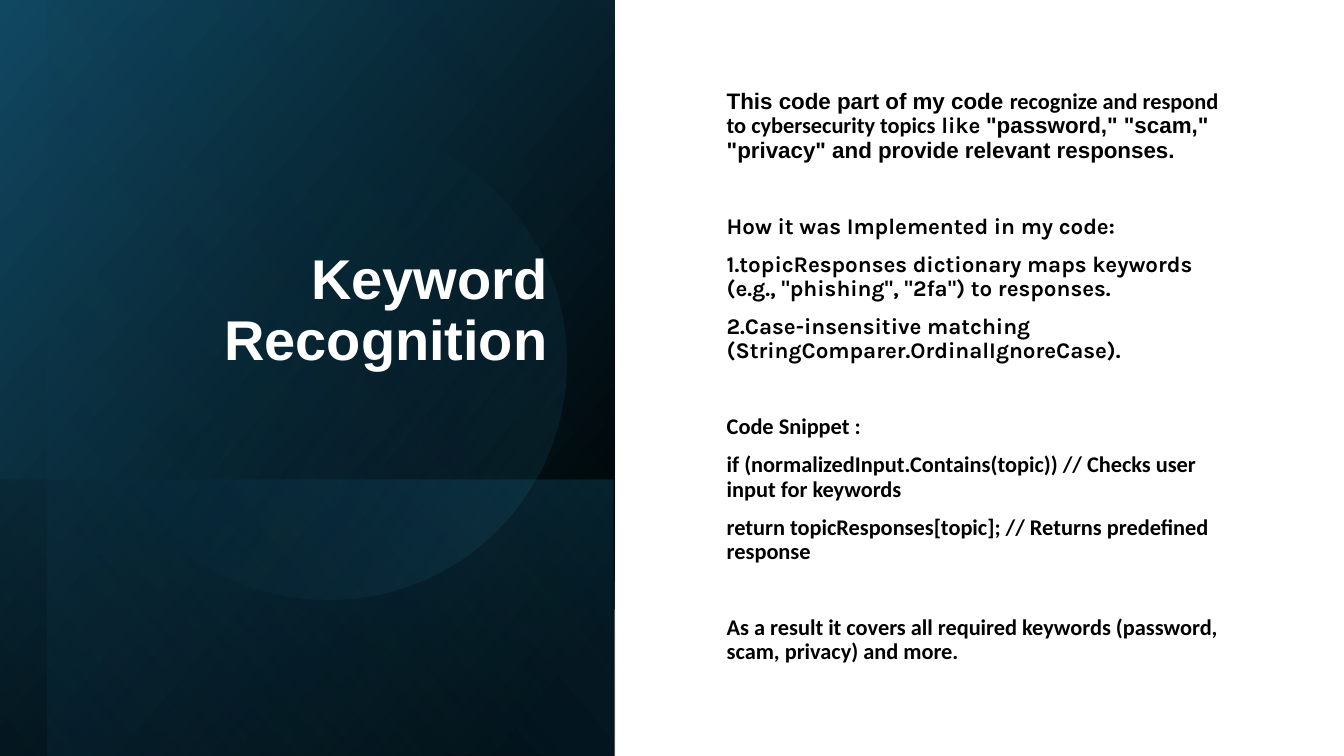
import dataclasses

import lxml.etree
import pptx
import pptx.dml.color
import pptx.enum.shapes
import pptx.enum.text
import pptx.oxml.ns
import pptx.util

Cm = pptx.util.Cm
Pt = pptx.util.Pt
Kind = pptx.enum.shapes.MSO_SHAPE
Align = pptx.enum.text.PP_ALIGN
Anchor = pptx.enum.text.MSO_ANCHOR
qn = pptx.oxml.ns.qn


@dataclasses.dataclass
class Stop:
    place: float
    color: str
    alpha: int = 100


@dataclasses.dataclass
class Panel:
    kind: Kind
    box: tuple[float, float, float, float]
    turn: float
    angle: int
    stops: tuple[Stop, Stop]
    flip: bool = True


@dataclasses.dataclass
class Para:
    runs: list[tuple[str, str]]
    before: int = 10


PANELS = [
    Panel(Kind.RECTANGLE, (-1.78, 1.78, 19.05, 15.49), 90, 50,
          (Stop(0.08, "000000"), Stop(1, "104862"))),
    Panel(Kind.RECTANGLE, (4.24, 7.82, 6.96, 15.49), 90, 130,
          (Stop(0.02, "156082", 29), Stop(1, "000000", 30))),
    Panel(Kind.RECTANGLE, (-1.17, 2.36, 19.05, 14.3), 90, 130,
          (Stop(0, "000000", 0), Stop(0.99, "156082", 11))),
    Panel(Kind.OVAL, (2.29, 3.12, 11.99, 11.99), 101.6, 290,
          (Stop(0.39, "156082", 0), Stop(1, "46B1E1", 15)), False),
]

GAP = 37
PARAS = [
    Para([("This code part of my code ", "Arial"),
          ("recognize and respond to cybersecurity topics", "Calibri"),
          (" like ", "Karla"),
          ('"password," "scam," "privacy" and provide relevant responses.', "Arial")]),
    Para([("How it was Implemented in my code:", "Karla")], GAP),
    Para([('1.topicResponses dictionary maps keywords (e.g., "phishing", "2fa") to responses.',
           "Karla")]),
    Para([("2.Case-insensitive matching (StringComparer.OrdinalIgnoreCase).", "Karla")]),
    Para([("Code Snippet :", "Calibri")], GAP),
    Para([("if (normalizedInput.Contains(topic)) // Checks user input for keywords", "Calibri")]),
    Para([("return topicResponses[topic]; // Returns predefined response", "Calibri")]),
    Para([("As a result it covers all required keywords (password, scam, privacy) and more.",
           "Calibri")], GAP),
]


def paint(target, color: str) -> None:
    target.rgb = pptx.dml.color.RGBColor.from_string(color)


def place(shape, box: tuple[float, float, float, float]) -> None:
    shape.left, shape.top, shape.width, shape.height = map(Cm, box)


def style(para, size: int, color: str) -> None:
    para.line_spacing = 0.9
    para.font.size = Pt(size)
    para.font.bold = True
    paint(para.font.color, color)


def frame(shape, anchor: Anchor):
    text = shape.text_frame
    text.word_wrap = True
    text.auto_size = pptx.enum.text.MSO_AUTO_SIZE.NONE
    text.vertical_anchor = anchor
    return text


def draw(slide, panel: Panel) -> None:
    shape = slide.shapes.add_shape(panel.kind, *map(Cm, panel.box))
    shape.rotation = panel.turn
    shape.shadow.inherit = False
    shape.line.fill.background()
    if panel.flip:
        shape._element.spPr.find(qn("a:xfrm")).set("flipH", "1")
    shape.fill.gradient()
    shape.fill.gradient_angle = 360 - panel.angle
    marks = shape._element.spPr.iter(qn("a:gs"))
    for stop, grade, mark in zip(panel.stops, shape.fill.gradient_stops, marks):
        grade.position = stop.place
        paint(grade.color, stop.color)
        if stop.alpha < 100:
            alpha = lxml.etree.SubElement(mark[0], qn("a:alpha"))
            alpha.set("val", str(stop.alpha * 1000))


def head(shape) -> None:
    place(shape, (2.29, 1.63, 11.76, 9.4))
    text = frame(shape, Anchor.BOTTOM)
    text.margin_bottom = Cm(1.65)
    para = text.paragraphs[0]
    para.text = "Keyword Recognition"
    para.alignment = Align.RIGHT
    style(para, 40, "FFFFFF")
    para.font.name = "Arial"


def fill(shape) -> None:
    place(shape, (18.06, 1.8, 13.51, 15.42))
    text = frame(shape, Anchor.MIDDLE)
    for i, item in enumerate(PARAS):
        para = text.add_paragraph() if i else text.paragraphs[0]
        para.space_before = Pt(item.before)
        style(para, 16, "000000")
        props = para._p.get_or_add_pPr()
        props.set("marL", "0")
        props.set("indent", "0")
        props.find(qn("a:defRPr")).addprevious(lxml.etree.Element(qn("a:buNone")))
        fonts = {font for _, font in item.runs}
        if len(fonts) == 1:
            para.font.name = item.runs[0][1]
        for words, font in item.runs:
            run = para.add_run()
            run.text = words
            if len(fonts) > 1:
                run.font.name = font


def main() -> None:
    deck = pptx.Presentation()
    deck.slide_width, deck.slide_height = Cm(33.87), Cm(19.05)
    slide = deck.slides.add_slide(deck.slide_layouts[1])
    title, body = slide.placeholders
    for panel in PANELS:
        draw(slide, panel)
    for shape in (title, body):
        slide.shapes._spTree.append(shape._element)
    head(title)
    fill(body)
    deck.save("out.pptx")


if __name__ == "__main__":
    main()
